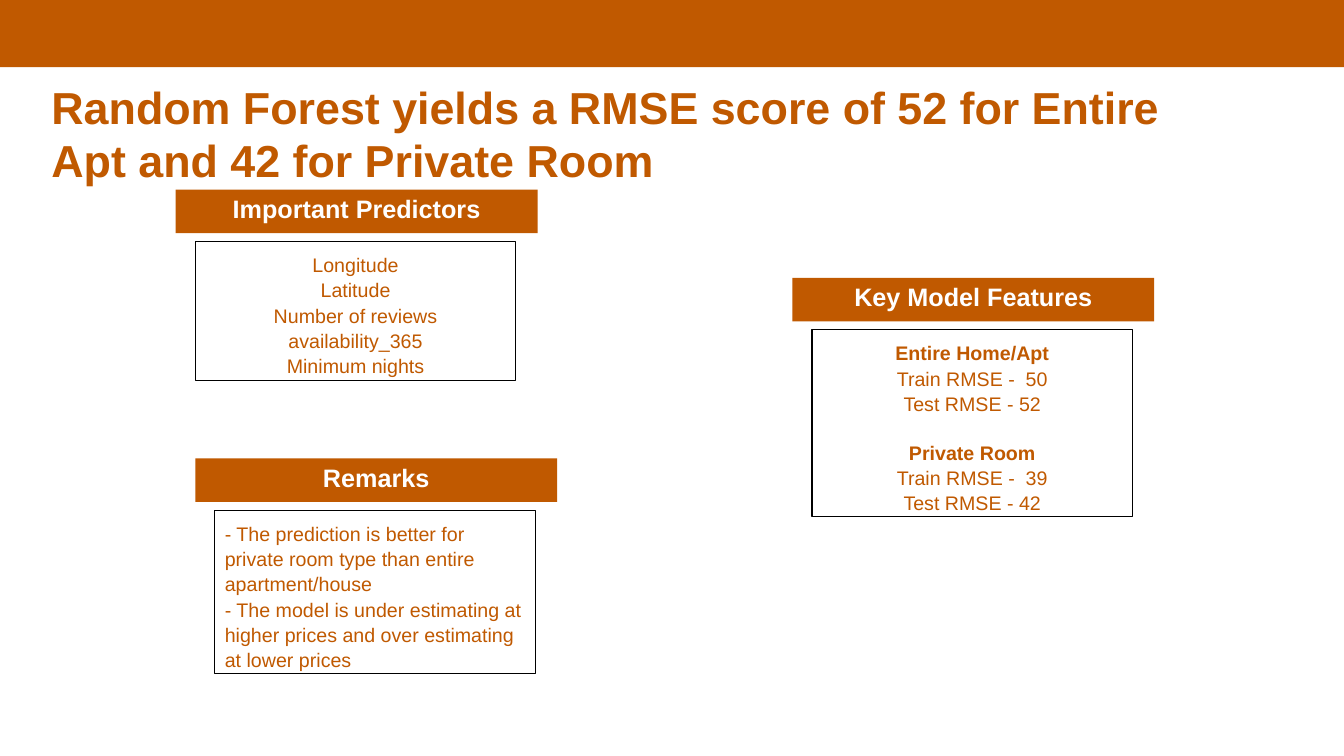
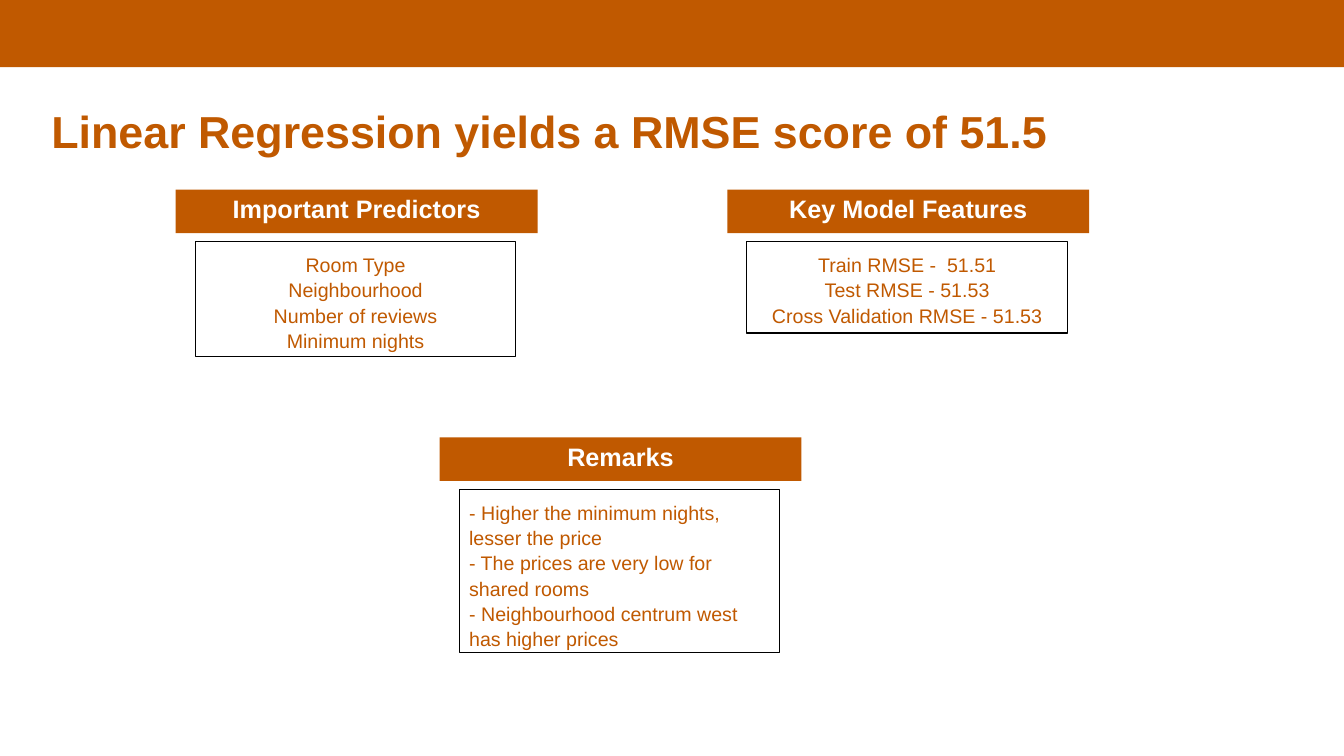
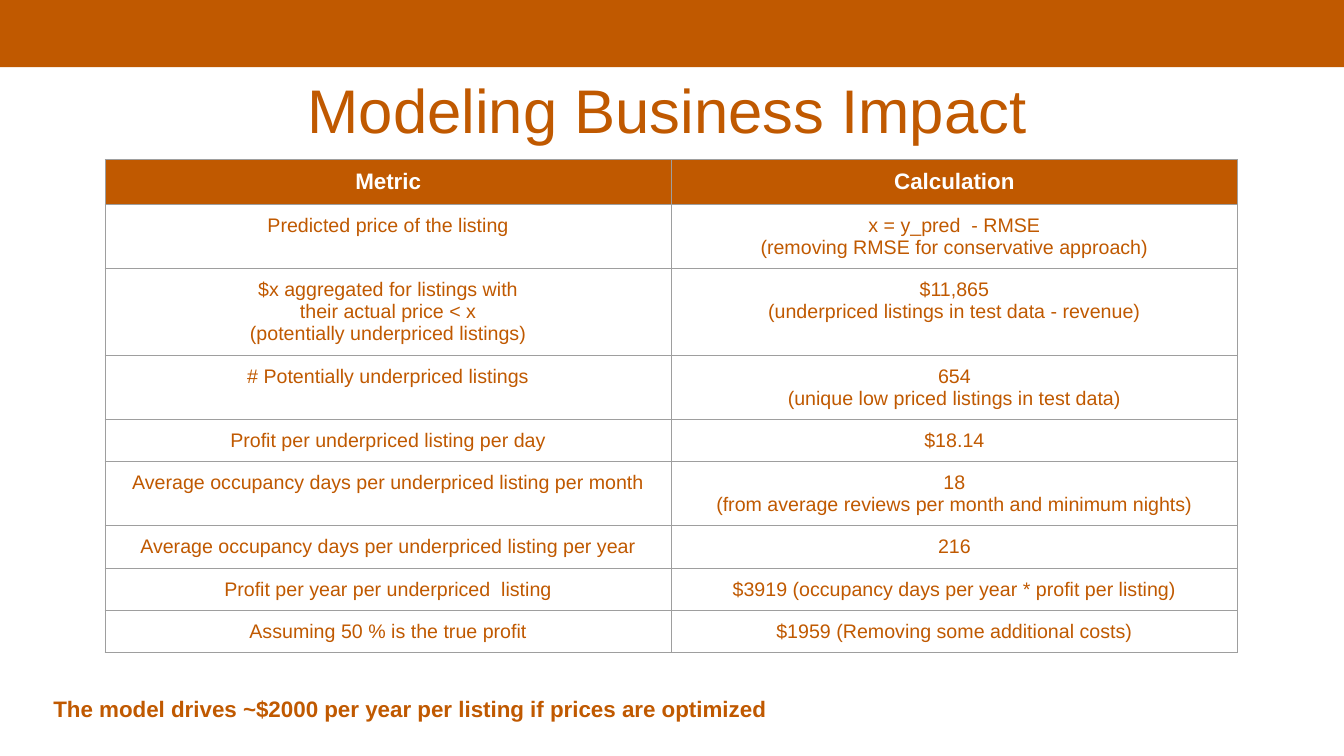
from dataclasses import dataclass
from lxml.etree import SubElement
from pptx import Presentation
from pptx.dml.color import RGBColor
from pptx.enum.shapes import MSO_SHAPE
from pptx.enum.text import MSO_ANCHOR, MSO_AUTO_SIZE, PP_ALIGN
from pptx.oxml.ns import qn
from pptx.util import Pt


@dataclass(frozen=True)
class Theme:
    font: str = "Arial"
    rust: str = "C05900"
    white: str = "FFFFFF"
    black: str = "000000"
    grey: str = "9E9E9E"
    hero: float = 44
    title: float = 32
    label: float = 18
    strong: float = 16
    body: float = 14
    rule: float = 0.75
    inset: float = 7.2
    thin: float = 3.6
    tight: float = 0.98
    loose: float = 1.07
    step: float = 17


THEME = Theme()
WIDTH, HEIGHT = 960, 540


def color(code):
    return RGBColor.from_string(code)


def write(frame, lines, size=THEME.body, ink=THEME.rust, bold=False, heads=(),
          align=PP_ALIGN.LEFT, pad=THEME.inset, space=1.0):
    frame.word_wrap = True
    frame.auto_size = MSO_AUTO_SIZE.NONE
    frame.vertical_anchor = MSO_ANCHOR.TOP
    frame.margin_left = frame.margin_right = Pt(THEME.inset)
    frame.margin_top = frame.margin_bottom = Pt(pad)
    for index, line in enumerate(lines):
        para = frame.add_paragraph() if index else frame.paragraphs[0]
        para.alignment = align
        para.line_spacing = space
        if index and line in heads:
            para.space_before = Pt(THEME.step)
        run = para.add_run()
        run.text = line
        font = run.font
        font.name, font.size = THEME.font, Pt(size)
        font.bold = bold or line in heads
        font.color.rgb = color(ink)


def block(slide, left, top, width, height, fill=None, line=None):
    shape = slide.shapes.add_shape(
        MSO_SHAPE.RECTANGLE, Pt(left), Pt(top), Pt(width), Pt(height))
    shape.shadow.inherit = False
    if fill:
        shape.fill.solid()
        shape.fill.fore_color.rgb = color(fill)
    else:
        shape.fill.background()
    if line:
        shape.line.color.rgb = color(line)
        shape.line.width = Pt(THEME.rule)
    else:
        shape.line.fill.background()
    return shape


def brand(deck, slide):
    band = block(slide, 0, 0, WIDTH, 48, fill=THEME.rust)
    deck.slide_master.shapes.element.insert(2, band.element)


def start(deck, title, left=29.5, top=55.5, width=828, height=54,
          size=THEME.title, bold=True):
    slide = deck.slides.add_slide(deck.slide_layouts[5])
    holder = slide.shapes.title
    holder.left, holder.top = Pt(left), Pt(top)
    holder.width, holder.height = Pt(width), Pt(height)
    write(holder.text_frame, [title], size=size, bold=bold,
          pad=THEME.thin, space=THEME.tight)
    return slide


def card(slide, left, top, label, lines, rows=None, heads=(),
         align=PP_ALIGN.CENTER):
    header = block(slide, left, top, 258.5, 31, fill=THEME.rust)
    write(header.text_frame, [label], size=THEME.label, ink=THEME.white,
          bold=True, align=PP_ALIGN.CENTER, pad=THEME.thin, space=THEME.tight)
    tall = 2 * THEME.inset + THEME.step * (rows or len(lines))
    panel = block(slide, left + 14, top + 37, 229, tall, line=THEME.black)
    write(panel.text_frame, lines, heads=heads, align=align,
          space=THEME.loose)


def border(cell):
    props = cell._tc.get_or_add_tcPr()
    for side in ("lnL", "lnR", "lnT", "lnB"):
        edge = SubElement(props, qn(f"a:{side}"), w=str(Pt(THEME.rule)))
        fill = SubElement(edge, qn("a:solidFill"))
        SubElement(fill, qn("a:srgbClr"), val=THEME.grey)


def grid(slide, left, top, width, rows, high=30):
    count = len(rows[0])
    table = slide.shapes.add_table(
        len(rows), count, Pt(left), Pt(top), Pt(width),
        Pt(high * len(rows))).table
    table.first_row = table.horz_banding = False
    for column in table.columns:
        column.width = Pt(width / count)
    for index, row in enumerate(rows):
        head = index == 0
        deep = max(len(text.split("\n")) for text in row)
        table.rows[index].height = Pt(32 if head else high + 15.7 * (deep - 1))
        for cell, text in zip(table.rows[index].cells, row):
            border(cell)
            if head:
                cell.fill.solid()
                cell.fill.fore_color.rgb = color(THEME.rust)
            else:
                cell.fill.background()
            fill_cell(cell, text, head)


def fill_cell(cell, text, head):
    cell.margin_left = cell.margin_right = Pt(THEME.inset)
    cell.margin_top = cell.margin_bottom = Pt(THEME.inset)
    cell.vertical_anchor = MSO_ANCHOR.TOP
    for index, line in enumerate(text.split("\n")):
        frame = cell.text_frame
        para = frame.add_paragraph() if index else frame.paragraphs[0]
        para.alignment = PP_ALIGN.CENTER
        run = para.add_run()
        run.text = line
        run.font.name = THEME.font
        run.font.size = Pt(THEME.strong if head else THEME.body)
        run.font.bold = head
        run.font.color.rgb = color(THEME.white if head else THEME.rust)


def forest(deck):
    slide = start(deck, "Random Forest yields a RMSE score of 52 for Entire "
                        "Apt and 42 for Private Room")
    brand(deck, slide)
    card(slide, 125.5, 135.5, "Important Predictors", [
        "Longitude", "Latitude", "Number of reviews", "availability_365",
        "Minimum nights"])
    card(slide, 566, 198.5, "Key Model Features", [
        "Entire Home/Apt", "Train RMSE -  50", "Test RMSE - 52",
        "Private Room", "Train RMSE -  39", "Test RMSE - 42"],
        rows=7, heads=("Entire Home/Apt", "Private Room"))
    card(slide, 139.5, 327.5, "Remarks", [
        "- The prediction is better for private room type than entire "
        "apartment/house",
        "- The model is under estimating at higher prices and over "
        "estimating at lower prices"], rows=6, align=PP_ALIGN.LEFT)


def linear(deck):
    slide = start(deck, "Linear Regression yields a RMSE score of 51.5",
                  top=72.5)
    card(slide, 125.5, 135.5, "Important Predictors", [
        "Room Type", "Neighbourhood", "Number of reviews", "Minimum nights"])
    card(slide, 519.5, 135.5, "Key Model Features", [
        "Train RMSE -  51.51", "Test RMSE - 51.53",
        "Cross Validation RMSE - 51.53"])
    card(slide, 314, 312.5, "Remarks", [
        "- Higher the minimum nights, lesser the price",
        "- The prices are very low for shared rooms",
        "- Neighbourhood centrum west has higher prices"],
        rows=6, align=PP_ALIGN.LEFT)


def impact(deck):
    slide = start(deck, "Modeling Business Impact", left=212.5, top=50.5,
                  width=535, height=67, size=THEME.hero, bold=False)
    grid(slide, 75, 114, 809, [
        ("Metric", "Calculation"),
        ("Predicted price of the listing",
         "x = y_pred  - RMSE\n(removing RMSE for conservative approach)"),
        ("$x aggregated for listings with\ntheir actual price < x\n"
         "(potentially underpriced listings)",
         "$11,865\n(underpriced listings in test data - revenue)"),
        ("# Potentially underpriced listings",
         "654\n(unique low priced listings in test data)"),
        ("Profit per underpriced listing per day", "$18.14"),
        ("Average occupancy days per underpriced listing per month",
         "18\n(from average reviews per month and minimum nights)"),
        ("Average occupancy days per underpriced listing per year", "216"),
        ("Profit per year per underpriced  listing",
         "$3919 (occupancy days per year * profit per listing)"),
        ("Assuming 50 % is the true profit",
         "$1959 (Removing some additional costs)"),
    ])
    note = slide.shapes.add_textbox(Pt(31), Pt(489.5), Pt(856), Pt(34))
    write(note.text_frame,
          ["The model drives ~$2000 per year per listing if prices are "
           "optimized"], size=THEME.strong, bold=True)


def main():
    deck = Presentation()
    deck.slide_width, deck.slide_height = Pt(WIDTH), Pt(HEIGHT)
    forest(deck)
    linear(deck)
    impact(deck)
    deck.save("out.pptx")


if __name__ == "__main__":
    main()
